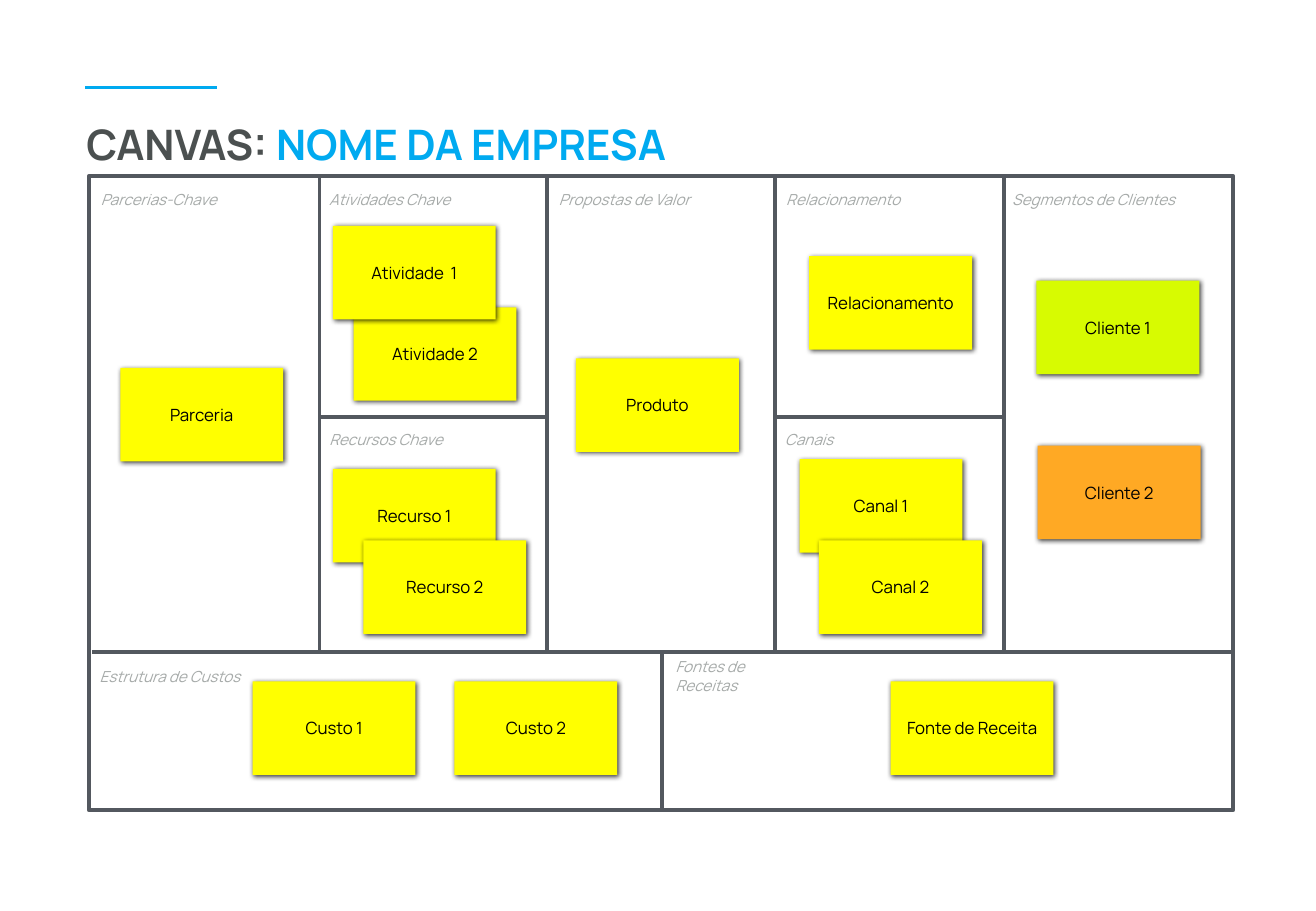
"""Business model canvas with sticky notes."""
from lxml.etree import SubElement as Sub
from pptx import Presentation
from pptx.dml.color import RGBColor
from pptx.enum.shapes import MSO_CONNECTOR as Conn, MSO_SHAPE as Shape
from pptx.enum.text import MSO_ANCHOR as Anchor, PP_ALIGN as Align
from pptx.oxml.ns import qn
from pptx.util import Pt

PX = 9144
BLUE, SLATE, GREY, DARK = "00AAF0", "53585F", "A6AAA9", "4B5050"
YELLOW, LIME, AMBER, BLACK = "FFFF00", "D7FB01", "FFA924", "000000"
TITLE = {"size": Pt(24.9), "bold": True, "name": "Manrope"}
LABEL = {"size": Pt(9), "italic": True, "name": "Manrope"}
NOTE = {"size": Pt(10), "name": "Manrope"}


def rgb(color):
    return RGBColor.from_string(color)


def write(shape, runs, style, inset, align=Align.LEFT):
    frame = shape.text_frame
    sides = ("left", "top", "right", "bottom")
    form = {"margin_" + side: inset * PX for side in sides}
    form.update(word_wrap=True, vertical_anchor=Anchor.MIDDLE)
    for key, val in form.items():
        setattr(frame, key, val)
    para = frame.paragraphs[0]
    para.alignment = align
    for text, color in runs:
        run = para.add_run()
        run.text = text
        for key, val in style.items():
            setattr(run.font, key, val)
        run.font.color.rgb = rgb(color)


deck = Presentation()
deck.slide_width, deck.slide_height = 1083 * PX, 750 * PX
slide = deck.slides.add_slide(deck.slide_layouts[6])
shapes = slide.shapes

title = shapes.add_textbox(71 * PX, 97 * PX, 945 * PX, 43 * PX)
write(title, [("CANVAS: ", DARK), ("NOME DA EMPRESA", BLUE)], TITLE, 0)

frame = shapes.add_shape(Shape.RECTANGLE, 73 * PX, 145 * PX, 942 * PX, 522 * PX)
frame.shadow.inherit = False
frame.fill.background()
frame.line.color.rgb = rgb(SLATE)
frame.line.width = Pt(2.25)

rules = [(70, 72, 179, 72, BLUE), (76, 537, 1014, 537, SLATE)]
rules += [(x, 145, x, 535, SLATE) for x in (826, 263, 450, 638)]
rules += [(x, 343, x + 188, 343, SLATE) for x in (263, 637)]
rules += [(545, 668, 545, 537, SLATE)]
for *ends, color in rules:
    rule = shapes.add_connector(Conn.STRAIGHT, *[end * PX for end in ends])
    rule.line.color.rgb = rgb(color)
    rule.line.width = Pt(2.25)
    Sub(rule._element.spPr, qn("a:effectLst"))

labels = [
    ("Segmentos de Clientes", 828, 154, 147),
    ("Relacionamento", 642, 154, 128),
    ("Propostas de Valor", 455, 154, 124),
    ("Atividades Chave", 266, 154, 114),
    ("Parcerias-Chave", 78, 154, 147),
    ("Fontes de Receitas", 551, 546, 116),
    ("Estrutura de Custos", 77, 546, 128),
    ("Recursos Chave", 266, 351, 108),
    ("Canais", 641, 351, 116),
]
for text, x, y, wide in labels:
    label = shapes.add_textbox(x * PX, y * PX, wide * PX, 21 * PX)
    write(label, [(text, GREY)], LABEL, 5)

notes = [
    ("Cliente 2", 854, 367, AMBER),
    ("Cliente 1", 853, 231, LIME),
    ("Produto", 474, 295, YELLOW),
    ("Canal 1", 658, 378, YELLOW),
    ("Relacionamento", 666, 211, YELLOW),
    ("Fonte de Receita", 733, 561, YELLOW),
    ("Custo 1", 208, 561, YELLOW),
    ("Custo 2", 374, 561, YELLOW),
    ("Recurso 1", 274, 386, YELLOW),
    ("Atividade 2", 291, 253, YELLOW),
    ("Parceria", 99, 303, YELLOW),
    ("Canal 2", 674, 445, YELLOW),
    ("Recurso 2", 299, 445, YELLOW),
    ("Atividade  1", 274, 186, YELLOW),
]
for text, x, y, color in notes:
    note = shapes.add_shape(Shape.RECTANGLE, x * PX, y * PX, 134 * PX, 77 * PX)
    note.fill.solid()
    note.fill.fore_color.rgb = rgb(color)
    note.line.fill.background()
    note.shadow.inherit = False
    glow = note._element.spPr.find(qn("a:effectLst"))
    cast = Sub(glow, qn("a:outerShdw"), blurRad="38100", dist="12700",
               dir="2700000", rotWithShape="0")
    tint = Sub(cast, qn("a:srgbClr"), val=BLACK)
    Sub(tint, qn("a:alpha"), val="75000")
    write(note, [(text, BLACK)], NOTE, 10, Align.CENTER)

deck.save("out.pptx")
